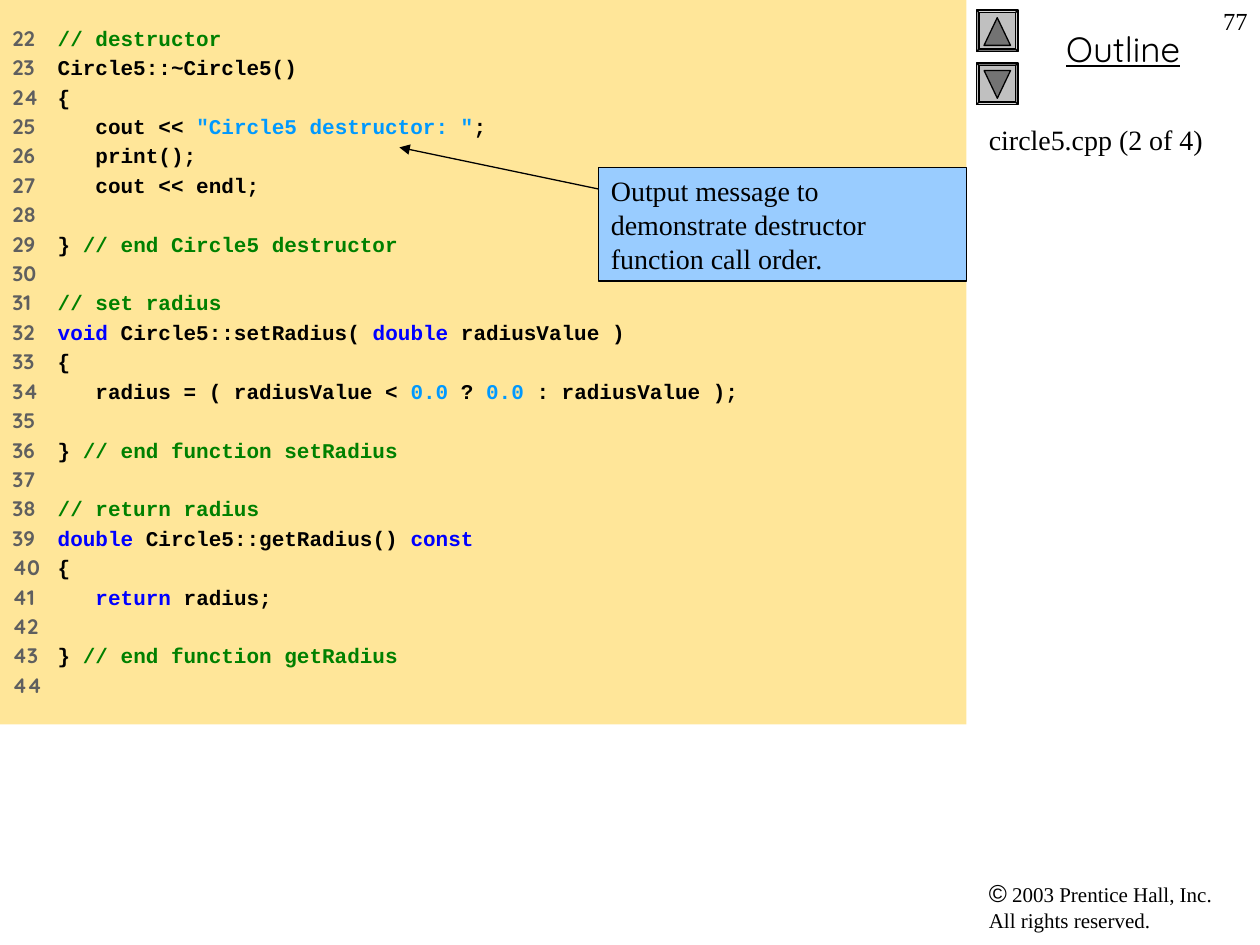
from dataclasses import dataclass

from pptx import Presentation
from pptx.dml.color import RGBColor
from pptx.enum.shapes import MSO_CONNECTOR, MSO_SHAPE
from pptx.enum.text import MSO_ANCHOR, PP_ALIGN
from pptx.oxml.ns import qn
from pptx.slide import Slide
from pptx.util import Inches, Pt
from lxml.etree import SubElement

BLACK, BLUE, GREEN, CYAN = "000000", "0000FF", "008000", "0099FF"
FIRST_LINE = 22
CODE_LINES = [
    [("// destructor", GREEN)],
    [("Circle5::~Circle5()", BLACK)],
    [("{", BLACK)],
    [("   cout << ", BLACK), ('"Circle5 destructor: "', CYAN), (";", BLACK)],
    [("   print();", BLACK)],
    [("   cout << endl;", BLACK)],
    [],
    [("} ", BLACK), ("// end Circle5 destructor", GREEN)],
    [],
    [("// set radius", GREEN)],
    [("void", BLUE), (" Circle5::setRadius( ", BLACK), ("double", BLUE),
     (" radiusValue )", BLACK)],
    [("{", BLACK)],
    [("   radius = ( radiusValue < ", BLACK), ("0.0", CYAN), (" ? ", BLACK),
     ("0.0", CYAN), (" : radiusValue );", BLACK)],
    [],
    [("} ", BLACK), ("// end function setRadius", GREEN)],
    [],
    [("// return radius", GREEN)],
    [("double", BLUE), (" Circle5::getRadius() ", BLACK), ("const", BLUE)],
    [("{", BLACK)],
    [("   ", BLACK), ("return", BLUE), (" radius;", BLACK)],
    [],
    [("} ", BLACK), ("// end function getRadius", GREEN)],
    [],
]


def rgb(hex_colour):
    return RGBColor.from_string(hex_colour)


def add_text(paragraph, text, font="Times New Roman", size=12, colour=BLACK,
             bold=False, underline=False):
    run = paragraph.add_run()
    run.text = text
    run.font.name, run.font.size = font, Pt(size)
    run.font.bold, run.font.underline = bold, underline
    run.font.color.rgb = rgb(colour)


def set_tab_stop(paragraph, position):
    tabs = SubElement(paragraph._p.get_or_add_pPr(), qn("a:tabLst"))
    SubElement(tabs, qn("a:tab"), pos=str(position), algn="l")


@dataclass
class SlideBuilder:
    slide: Slide
    line_colour: str = BLACK
    line_width: float = 0.75
    button_fill: str = "C0C0C0"
    arrow_fill: str = "737373"
    number_colour: str = "5F5F5F"

    def outline(self, line):
        line.color.rgb = rgb(self.line_colour)
        line.width = Pt(self.line_width)

    def text_box(self, left, top, width, height, align=PP_ALIGN.LEFT):
        """Add a wrapping text box and return its first paragraph."""
        frame = self.slide.shapes.add_textbox(
            Inches(left), Inches(top), Inches(width), Inches(height)).text_frame
        frame.word_wrap = True
        paragraph = frame.paragraphs[0]
        paragraph.alignment = align
        return paragraph

    def shape(self, preset, left, top, width, height, fill, outlined=True):
        shape = self.slide.shapes.add_shape(
            preset, Inches(left), Inches(top), Inches(width), Inches(height))
        shape.shadow.inherit = False
        shape.fill.solid()
        shape.fill.fore_color.rgb = rgb(fill)
        if outlined:
            self.outline(shape.line)
        else:
            shape.line.fill.background()
        return shape

    def nav_button(self, left, top, arrow_top, turn):
        side, arrow_width, arrow_height = 0.33, 0.21, 0.22
        frame = self.shape(MSO_SHAPE.BEVEL, left, top, side, side, self.button_fill)
        frame.adjustments[0] = 0.06
        frame.rotation = 90 + turn
        arrow = self.shape(MSO_SHAPE.ISOSCELES_TRIANGLE,
                           left + (side - arrow_width) / 2, arrow_top,
                           arrow_width, arrow_height, self.arrow_fill)
        arrow.rotation = turn

    def code_panel(self, left, top, width, height):
        panel = self.shape(MSO_SHAPE.RECTANGLE, left, top, width, height,
                           "FFE699", outlined=False)
        frame = panel.text_frame
        frame.word_wrap = True
        frame.vertical_anchor = MSO_ANCHOR.TOP
        frame.margin_top = frame.margin_bottom = Inches(0.2)
        for index, tokens in enumerate(CODE_LINES):
            paragraph = frame.add_paragraph() if index else frame.paragraphs[0]
            set_tab_stop(paragraph, Inches(0.36))
            paragraph.alignment = PP_ALIGN.LEFT
            paragraph.space_before = Pt(2.4 if index else 0)
            number = str(FIRST_LINE + index) + ("\t" if tokens else "")
            add_text(paragraph, number, font="Quicksand",
                     colour=self.number_colour, bold=True)
            for code, colour in tokens:
                add_text(paragraph, code, font="Courier New", colour=colour, bold=True)

    def callout(self, text, left, top, width, height):
        box = self.shape(MSO_SHAPE.RECTANGLE, left, top, width, height, "99CCFF")
        box.text_frame.word_wrap = True
        box.text_frame.vertical_anchor = MSO_ANCHOR.MIDDLE
        paragraph = box.text_frame.paragraphs[0]
        paragraph.alignment = PP_ALIGN.LEFT
        add_text(paragraph, text, size=16)

    def arrow(self, start, end):
        connector = self.slide.shapes.add_connector(
            MSO_CONNECTOR.STRAIGHT, *map(Inches, start + end))
        self.outline(connector.line)
        SubElement(connector.line._get_or_add_ln(), qn("a:tailEnd"), type="triangle")
        SubElement(connector._element.spPr, qn("a:effectLst"))


def main():
    deck = Presentation()
    deck.slide_width, deck.slide_height = Inches(10), Inches(7.5)
    page = SlideBuilder(deck.slides.add_slide(deck.slide_layouts[6]))

    rights = page.text_box(7.75, 6.92, 2.17, 0.54)
    add_text(rights, "©", font="Arial", size=14)
    add_text(rights, " 2003 Prentice Hall, Inc.")
    rights.add_line_break()
    add_text(rights, "All rights reserved.")

    heading = page.text_box(7.83, 0.17, 2.17, 0.44, PP_ALIGN.CENTER)
    add_text(heading, "Outline", font="Quicksand", size=20, underline=True)

    page.nav_button(7.75, 0.08, arrow_top=0.14, turn=0)
    page.nav_button(7.75, 0.5, arrow_top=0.56, turn=180)

    add_text(page.text_box(7.75, 0.92, 2.25, 5.25), "circle5.cpp (2 of 4)", size=16)
    page.code_panel(0, 0, 7.67, 5.75)
    page.callout("Output message to demonstrate destructor function call order.",
                 4.75, 1.33, 2.92, 0.9)
    page.arrow((4.75, 1.5), (3.17, 1.17))
    add_text(page.text_box(9.5, 0, 0.5, 0.5, PP_ALIGN.RIGHT), "77", size=14)

    deck.save("out.pptx")


if __name__ == "__main__":
    main()
